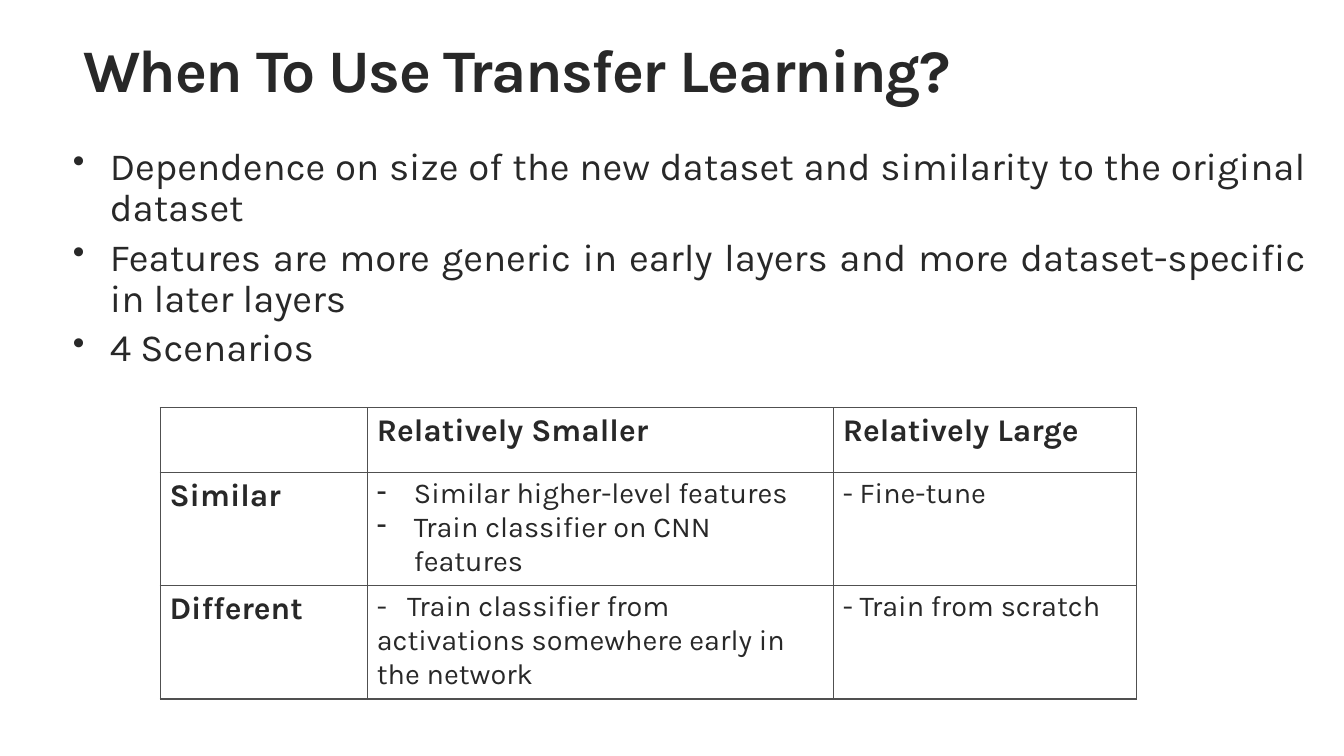
from lxml import etree
from pptx import Presentation
from pptx.dml.color import RGBColor
from pptx.enum import text
from pptx.oxml import ns
from pptx.util import Pt

INK = RGBColor(0x28, 0x28, 0x28)
GRID = RGBColor(0x50, 0x50, 0x50)
FONT = "Karla"
HANG = 27


def style(paragraph, size, bold=False):
    for run in paragraph.runs:
        run.font.name = FONT
        run.font.size = Pt(size)
        run.font.bold = bold
        run.font.color.rgb = INK


def add_bullet(paragraph, char, percent=100):
    props = paragraph._p.get_or_add_pPr()
    props.set("marL", str(Pt(HANG)))
    props.set("indent", str(-Pt(HANG)))
    etree.SubElement(props, ns.qn("a:buSzPct")).set("val", str(percent * 1000))
    etree.SubElement(props, ns.qn("a:buChar")).set("char", char)


prs = Presentation()
prs.slide_width, prs.slide_height = Pt(979.2), Pt(550.8)
slide = prs.slides.add_slide(prs.slide_layouts[5])

# Title
title = slide.shapes.title
title.left, title.top, title.width, title.height = Pt(53.3), Pt(26), Pt(936), Pt(72)
title.text_frame.text = "When To Use Transfer Learning?"
title.text_frame.word_wrap = True
title.text_frame.auto_size = text.MSO_AUTO_SIZE.NONE
title.text_frame.vertical_anchor = text.MSO_ANCHOR.TOP
heading = title.text_frame.paragraphs[0]
heading.alignment = text.PP_ALIGN.JUSTIFY
heading.line_spacing = 0.9
style(heading, 44, bold=True)
heading.runs[0].font._element.set("spc", "-100")

# Key points
points = [
    "Dependence on size of the new dataset and similarity to the original dataset",
    "Features are more generic in early layers and more dataset-specific in later layers",
    "4 Scenarios",
]
key_points = slide.shapes.add_textbox(Pt(46), Pt(103.7), Pt(912.3), Pt(403)).text_frame
key_points.word_wrap = True
key_points.text = "\n".join(points)
for point in key_points.paragraphs:
    point.alignment = text.PP_ALIGN.JUSTIFY
    point.line_spacing = 0.9
    point.space_before = Pt(5.6)
    style(point, 28)
    add_bullet(point, "•", 90)

# Scenario table: dataset similarity by dataset size
scenario_rows = [
    ["", "Relatively Smaller", "Relatively Large"],
    ["Similar", "Similar higher-level features\nTrain classifier on CNN features", "- Fine-tune"],
    ["Different", "-\tTrain classifier from activations somewhere early in the network",
     "- Train from scratch"],
]
column_widths = [151, 339.5, 221]
row_heights = [47.5, 80.8, 80.8]
scenarios = slide.shapes.add_table(
    3, 3, Pt(116.8), Pt(297), Pt(sum(column_widths)), Pt(sum(row_heights))).table
scenarios.horz_banding = False
for column, width in zip(scenarios.columns, column_widths):
    column.width = Pt(width)

for r, labels in enumerate(scenario_rows):
    scenarios.rows[r].height = Pt(row_heights[r])
    for c, label in enumerate(labels):
        cell = scenarios.cell(r, c)
        cell.text = label
        cell.margin_left = cell.margin_right = Pt(6.8)
        cell.margin_top = cell.margin_bottom = Pt(3.4)
        cell.fill.background()
        is_header = r == 0 or c == 0
        for paragraph in cell.text_frame.paragraphs:
            style(paragraph, 23 if is_header else 21, bold=is_header)
            if (r, c) == (1, 1):
                add_bullet(paragraph, "-")

        # Borders go ahead of the fill
        cell_props = cell._tc.get_or_add_tcPr()
        for position, side in enumerate(["lnL", "lnR", "lnT", "lnB"]):
            border = etree.Element(ns.qn("a:" + side), w=str(Pt(1)))
            solid = etree.SubElement(border, ns.qn("a:solidFill"))
            etree.SubElement(solid, ns.qn("a:srgbClr")).set("val", str(GRID))
            cell_props.insert(position, border)

# Tab stop after the dash in the lower middle cell
early_layers = scenarios.cell(2, 1).text_frame.paragraphs[0]
tab_stops = etree.SubElement(early_layers._p.get_or_add_pPr(), ns.qn("a:tabLst"))
etree.SubElement(tab_stops, ns.qn("a:tab"), pos=str(Pt(22)), algn="l")

prs.save("out.pptx")
